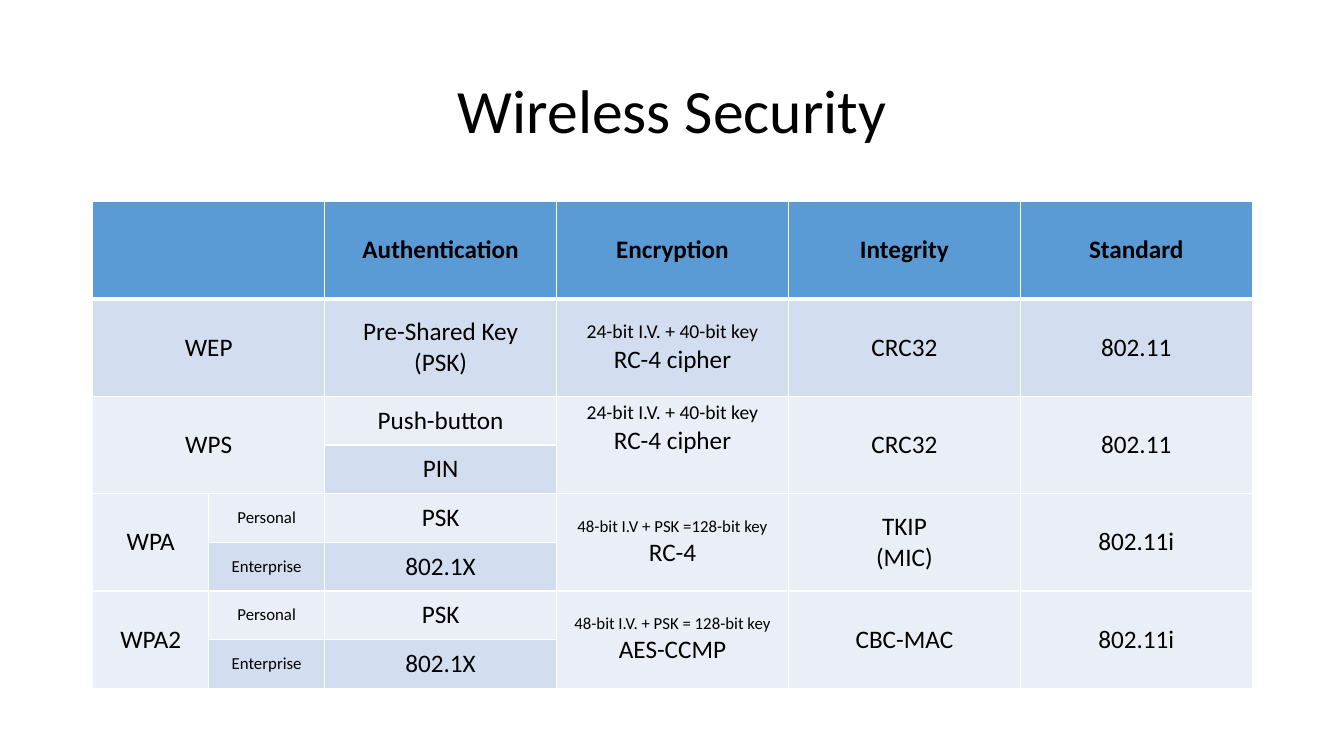
"""Build the wireless security comparison slide."""
import dataclasses
import typing

import pptx
import pptx.dml.color
import pptx.enum.text
import pptx.oxml
import pptx.oxml.ns
import pptx.table
import pptx.text.text
import pptx.util

Inches = pptx.util.Inches
Pt = pptx.util.Pt
Anchor = pptx.enum.text.MSO_ANCHOR
COLOURS = {"text": "000000", "header": "5B9BD5", "dark": "D2DEEF",
           "light": "EAEFF7", "border": "FFFFFF"}
FONT = "Calibri"
BODY_SIZE = 18
MODE_SIZE = 12


class Line(typing.NamedTuple):
    """One paragraph and its size in points."""
    text: str
    size: int = BODY_SIZE


@dataclasses.dataclass(frozen=True)
class Protocol:
    """One wireless protocol, with one table row per authentication."""
    name: str
    modes: tuple[str, ...]
    authentications: tuple[tuple[str, ...], ...]
    encryption: tuple[Line, ...]
    integrity: tuple[str, ...]
    standard: str
    fill: str = "light"
    encryption_anchor: Anchor = Anchor.MIDDLE


HEADINGS = ("Authentication", "Encryption", "Integrity", "Standard")
MODES = ("Personal", "Enterprise")
MODE_KEYS = (("PSK",), ("802.1X",))
RC4_CIPHER = (Line("24-bit I.V. + 40-bit key", 14), Line("RC-4 cipher"))
PROTOCOLS = (
    Protocol("WEP", (), (("Pre-Shared Key", "(PSK)"),), RC4_CIPHER,
             ("CRC32",), "802.11", fill="dark"),
    Protocol("WPS", (), (("Push-button",), ("PIN",)), RC4_CIPHER,
             ("CRC32",), "802.11", encryption_anchor=Anchor.TOP),
    Protocol("WPA", MODES, MODE_KEYS,
             (Line("48-bit I.V + PSK =128-bit key", 12), Line("RC-4")),
             ("TKIP", "(MIC)"), "802.11i"),
    Protocol("WPA2", MODES, MODE_KEYS,
             (Line("48-bit I.V. + PSK = 128-bit key", 12), Line("AES-CCMP")),
             ("CBC-MAC",), "802.11i"),
)


def write_text(frame: pptx.text.text.TextFrame, lines: typing.Sequence[Line], *,
               bold: bool = False, spacing: float = 1.0) -> None:
    """Fill a text frame with centred paragraphs."""
    for index, line in enumerate(lines):
        paragraph = frame.add_paragraph() if index else frame.paragraphs[0]
        paragraph.alignment = pptx.enum.text.PP_ALIGN.CENTER
        paragraph.line_spacing = spacing
        run = paragraph.add_run()
        run.text = line.text
        run.font.name = FONT
        run.font.size = Pt(line.size)
        run.font.bold = bold
        run.font.color.rgb = pptx.dml.color.RGBColor.from_string(COLOURS["text"])


def style_cell(cell: pptx.table._Cell, fill: str, *, top: int = 1,
               bottom: int = 1) -> None:
    """Give a cell its borders and fill."""
    properties = cell._tc.get_or_add_tcPr()
    for side, width in (("L", 1), ("R", 1), ("T", top), ("B", bottom)):
        properties.append(pptx.oxml.parse_xml(
            f'<a:ln{side} {pptx.oxml.ns.nsdecls("a")} w="{Pt(width)}">'
            f'<a:solidFill><a:srgbClr val="{COLOURS["border"]}"/></a:solidFill>'
            f'</a:ln{side}>'))
    cell.fill.solid()
    cell.fill.fore_color.rgb = pptx.dml.color.RGBColor.from_string(COLOURS[fill])


def fill_cell(cell: pptx.table._Cell, lines: typing.Sequence[Line], *,
              last: pptx.table._Cell | None = None, bold: bool = False,
              anchor: Anchor = Anchor.MIDDLE) -> None:
    """Write a cell, merged through to the last cell where one is given."""
    if last is not None and last != cell:
        cell.merge(last)
    cell.vertical_anchor = anchor
    write_text(cell.text_frame, lines, bold=bold)


def add_header(table: pptx.table.Table) -> None:
    """Fill the heading row."""
    for cell in table.rows[0].cells:
        style_cell(cell, "header", bottom=3)
    table.cell(0, 0).merge(table.cell(0, 1))
    for column, heading in enumerate(HEADINGS, start=2):
        fill_cell(table.cell(0, column), [Line(heading)], bold=True)


def add_protocol(table: pptx.table.Table, first: int, protocol: Protocol) -> int:
    """Fill the rows of one protocol and return the next free row."""
    end = first + len(protocol.authentications)
    for row in range(first, end):
        for column in range(len(table.columns)):
            split = column == 2 or (column == 1 and protocol.modes)
            fill = "dark" if split and row > first else protocol.fill
            style_cell(table.cell(row, column), fill, top=3 if row == 1 else 1)
    name_end = 0 if protocol.modes else 1
    fill_cell(table.cell(first, 0), [Line(protocol.name)],
              last=table.cell(end - 1, name_end))
    for row, mode in enumerate(protocol.modes, start=first):
        fill_cell(table.cell(row, 1), [Line(mode, MODE_SIZE)])
    for row, texts in enumerate(protocol.authentications, start=first):
        fill_cell(table.cell(row, 2), [Line(text) for text in texts])
    fill_cell(table.cell(first, 3), protocol.encryption,
              last=table.cell(end - 1, 3), anchor=protocol.encryption_anchor)
    fill_cell(table.cell(first, 4), [Line(text) for text in protocol.integrity],
              last=table.cell(end - 1, 4))
    fill_cell(table.cell(first, 5), [Line(protocol.standard)],
              last=table.cell(end - 1, 5))
    return end


def main() -> None:
    """Build and save the slide."""
    deck = pptx.Presentation()
    deck.slide_width, deck.slide_height = Inches(13.33), Inches(7.5)
    slide = deck.slides.add_slide(deck.slide_layouts.get_by_name("Title Only"))
    left, width = Inches(0.92), Inches(11.5)

    title = slide.shapes.title
    title.left, title.top = left, Inches(0.4)
    title.width, title.height = width, Inches(1.45)
    title.text_frame.vertical_anchor = Anchor.MIDDLE
    write_text(title.text_frame, [Line("Wireless Security", 44)], spacing=0.9)

    row_counts = [1] + [len(protocol.authentications) for protocol in PROTOCOLS]
    height = Inches(4.83)
    band = height // len(row_counts)
    table = slide.shapes.add_table(sum(row_counts), len(HEADINGS) + 2,
                                   left, Inches(2), width, height).table
    table.horz_banding = False
    for index, column in enumerate(table.columns):
        column.width = Inches(1.15 if index < 2 else 2.3)
    row_heights = [band // count for count in row_counts for _ in range(count)]
    for row, row_height in zip(table.rows, row_heights):
        row.height = row_height

    add_header(table)
    next_row = 1
    for protocol in PROTOCOLS:
        next_row = add_protocol(table, next_row, protocol)
    deck.save("out.pptx")


main()
